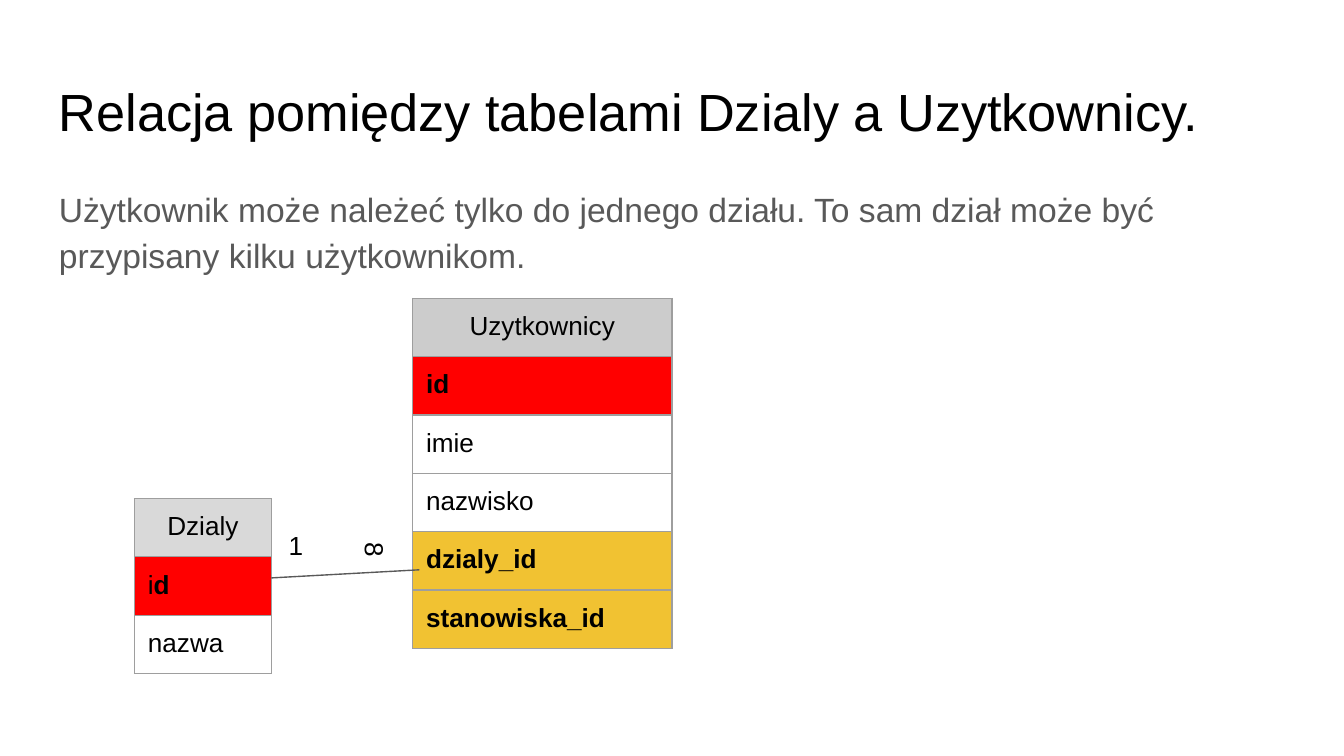
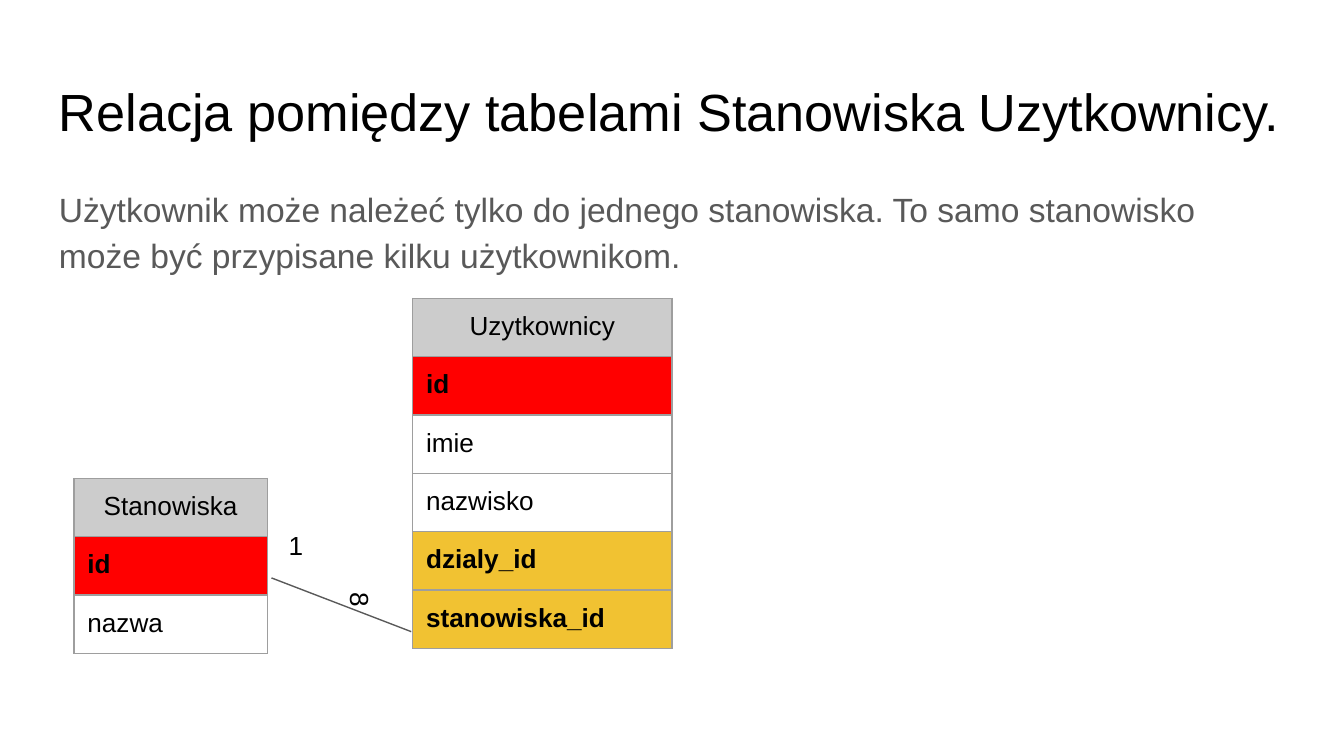
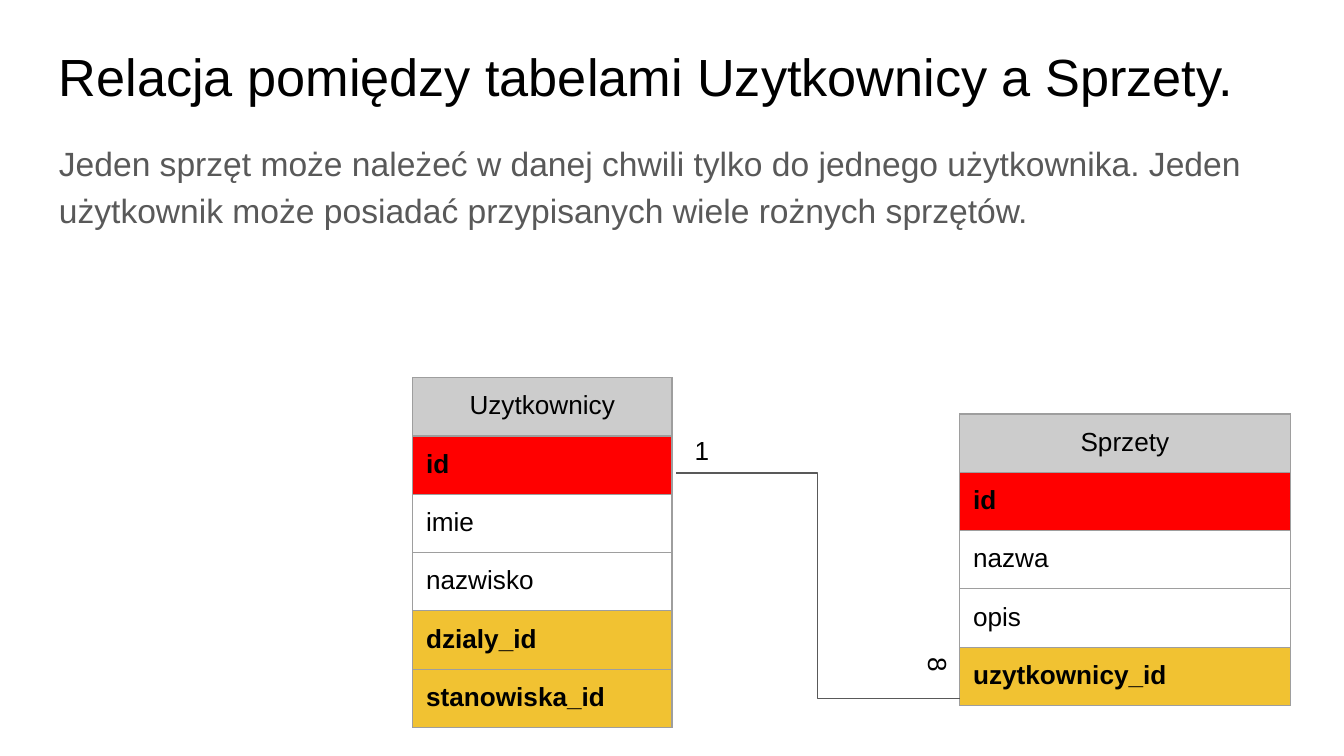
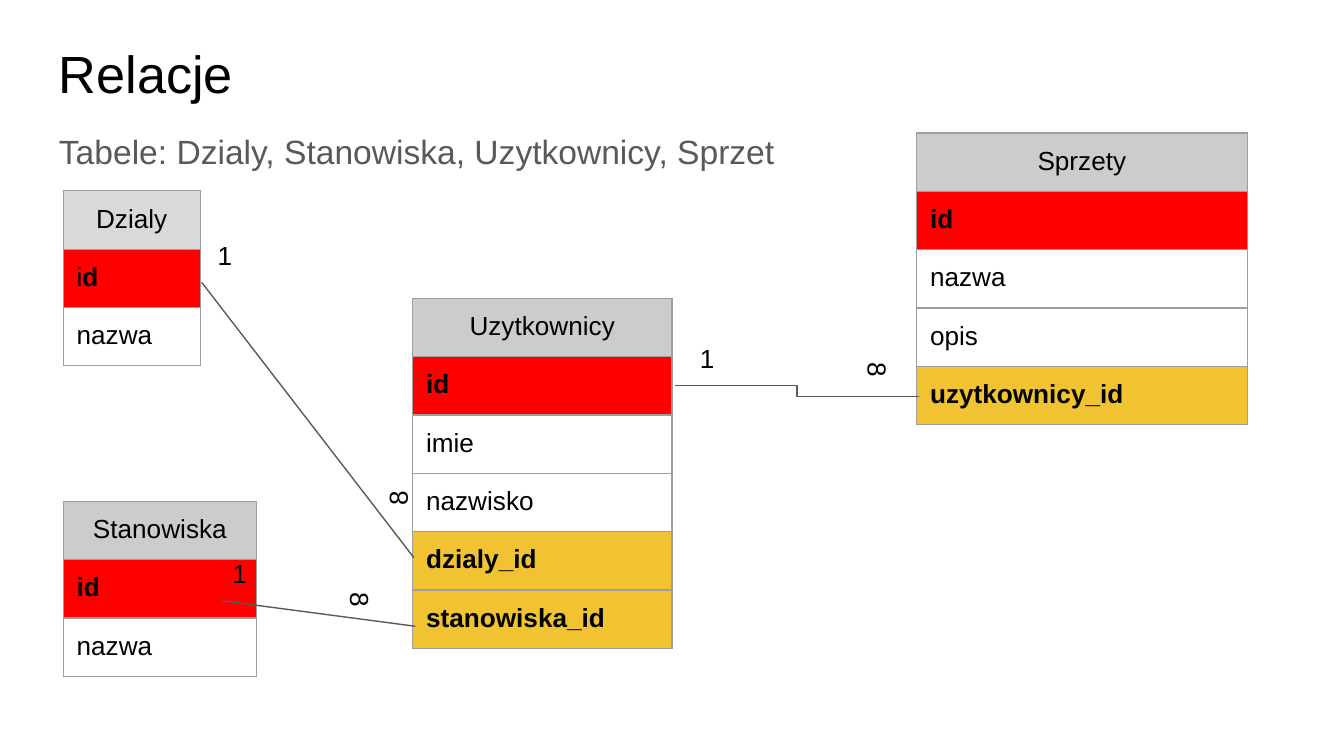
from dataclasses import dataclass

from lxml.etree import SubElement
from pptx import Presentation
from pptx.dml.color import RGBColor
from pptx.enum.shapes import MSO_CONNECTOR
from pptx.enum.text import MSO_ANCHOR, PP_ALIGN
from pptx.oxml.ns import qn
from pptx.util import Inches, Pt


@dataclass(frozen=True)
class Theme:
    font: str = "Arial"
    ink: str = "000000"
    muted: str = "595959"
    border: str = "9E9E9E"
    header: str = "CCCCCC"
    header_light: str = "D9D9D9"
    primary_key: str = "FF0000"
    foreign_key: str = "F1C232"
    title_size: int = 28
    body_size: int = 18
    label_size: int = 14
    line_width: float = 0.75
    margin: float = 0.1
    table_style: str = "{2D5ABB26-0587-4C30-8999-92F81FD0307C}"  # no style, no grid


THEME = Theme()
SLIDE_WIDTH = Inches(10)
SLIDE_HEIGHT = SLIDE_WIDTH * 9 // 16
TEXT_LEFT, TEXT_WIDTH, TITLE_HEIGHT = 0.34, 9.32, 0.63
ROW_HEIGHT = 0.42
ENTITY_FRAME = 3.28
BODY_SPACING = {"line_spacing": 1.15, "space_after": Pt(16)}
MARGINS = {f"margin_{side}": Inches(THEME.margin)
           for side in ("left", "right", "top", "bottom")}

# A field name is a list of (text, bold) runs.
ID = [("id", True)]
ENTITIES = {
    "Dzialy": {"width": 1.02, "header": THEME.header_light,
               "key": [("i", False), ("d", True)],
               "fields": ["nazwa"], "foreign": []},
    "Stanowiska": {"width": 1.44, "header": THEME.header, "key": ID,
                   "fields": ["nazwa"], "foreign": []},
    "Uzytkownicy": {"width": 1.93, "header": THEME.header, "key": ID,
                    "fields": ["imie", "nazwisko"],
                    "foreign": ["dzialy_id", "stanowiska_id"]},
    "Sprzety": {"width": 2.46, "header": THEME.header, "key": ID,
                "fields": ["nazwa", "opis"], "foreign": ["uzytkownicy_id"]},
}

STRAIGHT, ELBOW = MSO_CONNECTOR.STRAIGHT, MSO_CONNECTOR.ELBOW

# entities: name, left, top; labels: text, box, rotation; links: kind, from, to
SLIDES = [
    {
        "title": ("Relacja pomiędzy tabelami Dzialy a Uzytkownicy.", 0.49),
        "body": ("Użytkownik może należeć tylko do jednego działu. "
                 "To sam dział może być przypisany kilku użytkownikom.", 1.26, 3.74),
        "entities": [("Uzytkownicy", 3.07, 2.22), ("Dzialy", 1, 3.71)],
        "labels": [("1", (2.05, 3.84, 0.52, 0.26), 0),
                   ("8", (2.74, 3.95, 0.28, 0.26), 90)],
        "links": [(STRAIGHT, (2.02, 4.3), (3.12, 4.24))],
    },
    {
        "title": ("Relacja pomiędzy tabelami Stanowiska Uzytkownicy.", 0.49),
        "body": ("Użytkownik może należeć tylko do jednego stanowiska. "
                 "To samo stanowisko może być przypisane kilku użytkownikom.", 1.26, 3.74),
        "entities": [("Stanowiska", 0.55, 3.56), ("Uzytkownicy", 3.07, 2.22)],
        "labels": [("1", (2.05, 3.84, 0.52, 0.26), 0),
                   ("8", (2.63, 4.32, 0.28, 0.26), 90)],
        "links": [(STRAIGHT, (2.02, 4.3), (3.06, 4.7))],
    },
    {
        "title": ("Relacja pomiędzy tabelami Uzytkownicy a Sprzety.", 0.23),
        "body": ("Jeden sprzęt może należeć w danej chwili tylko do jednego użytkownika. "
                 "Jeden użytkownik może posiadać przypisanych wiele rożnych sprzętów.",
                 0.92, 4.47),
        "entities": [("Uzytkownicy", 3.07, 2.81), ("Sprzety", 7.14, 3.08)],
        "labels": [("1", (5.07, 3.13, 0.42, 0.26), 0),
                   ("8", (6.86, 4.87, 0.42, 0.26), 90)],
        "links": [(ELBOW, (7.14, 5.2), (5.03, 3.52))],
    },
    {
        "title": ("Relacje", 0.21),
        "body": ("Tabele: Dzialy, Stanowiska, Uzytkownicy, Sprzet", 0.83, 4.39),
        "entities": [("Dzialy", 0.47, 1.42), ("Stanowiska", 0.47, 3.73),
                     ("Uzytkownicy", 3.07, 2.22), ("Sprzety", 6.82, 0.99)],
        "labels": [("1", (1.52, 1.68, 0.65, 0.28), 0),
                   ("1", (1.63, 4.05, 0.52, 0.26), 0),
                   ("8", (2.75, 3.59, 0.26, 0.28), 270),
                   ("8", (2.63, 4.32, 0.28, 0.26), 90),
                   ("1", (5.11, 2.45, 0.42, 0.26), 0),
                   ("8", (6.41, 2.68, 0.42, 0.26), 90)],
        "links": [(ELBOW, (6.84, 2.95), (5.02, 2.87)),
                  (STRAIGHT, (1.5, 2.1), (3.08, 4.15)),
                  (STRAIGHT, (1.65, 4.47), (3.09, 4.66))],
    },
]


def apply(target, values):
    for attribute, value in values.items():
        setattr(target, attribute, value)


def write_runs(paragraph, runs, size, color):
    for text, bold in runs:
        run = paragraph.add_run()
        run.text = text
        apply(run.font, {"name": THEME.font, "size": Pt(size), "bold": bold})
        run.font.color.rgb = RGBColor.from_string(color)


def add_text(slide, text, box, size, color=THEME.ink, rotation=0, spacing=None):
    textbox = slide.shapes.add_textbox(*map(Inches, box))
    textbox.rotation = rotation
    frame = textbox.text_frame
    apply(frame, {"word_wrap": True, "vertical_anchor": MSO_ANCHOR.TOP, **MARGINS})
    paragraph = frame.paragraphs[0]
    apply(paragraph, spacing or {})
    write_runs(paragraph, [(text, False)], size, color)


def add_borders(cell):
    """Draw all four sides; border elements must come before the cell fill."""
    properties = cell._tc.get_or_add_tcPr()
    for position, side in enumerate(("lnL", "lnR", "lnT", "lnB")):
        border = SubElement(properties, qn(f"a:{side}"), w=str(Pt(THEME.line_width)))
        fill = SubElement(border, qn("a:solidFill"))
        SubElement(fill, qn("a:srgbClr"), val=THEME.border)
        properties.insert(position, border)


def entity_rows(name):
    """Return (runs, fill, alignment) for each row of an entity."""
    entity = ENTITIES[name]
    return [
        ([(name, False)], entity["header"], PP_ALIGN.CENTER),
        (entity["key"], THEME.primary_key, PP_ALIGN.LEFT),
        *[([(field, False)], None, PP_ALIGN.LEFT) for field in entity["fields"]],
        *[([(field, True)], THEME.foreign_key, PP_ALIGN.LEFT)
          for field in entity["foreign"]],
    ]


def add_entity(slide, name, left, top):
    rows = entity_rows(name)
    box = (left, top, ENTITY_FRAME, ENTITY_FRAME)
    frame = slide.shapes.add_table(len(rows), 1, *map(Inches, box))
    table = frame.table
    apply(table, {"first_row": False, "horz_banding": False})
    table._tbl.tblPr.find(qn("a:tableStyleId")).text = THEME.table_style
    table.columns[0].width = Inches(ENTITIES[name]["width"])
    for index, (runs, fill, alignment) in enumerate(rows):
        table.rows[index].height = Inches(ROW_HEIGHT)
        cell = table.cell(index, 0)
        apply(cell, MARGINS)
        if fill:
            cell.fill.solid()
            cell.fill.fore_color.rgb = RGBColor.from_string(fill)
        else:
            cell.fill.background()
        add_borders(cell)
        paragraph = cell.text_frame.paragraphs[0]
        paragraph.alignment = alignment
        write_runs(paragraph, runs, THEME.label_size, THEME.ink)
    # Row and column sizes reset the frame, so its size comes last.
    apply(frame, {"width": Inches(ENTITY_FRAME), "height": Inches(ENTITY_FRAME)})


def add_link(slide, kind, start, end):
    link = slide.shapes.add_connector(kind, *map(Inches, start + end))
    link.line.color.rgb = RGBColor.from_string(THEME.muted)
    link.line.width = Pt(THEME.line_width)
    SubElement(link._element.spPr, qn("a:effectLst"))


def build_slide(presentation, content):
    slide = presentation.slides.add_slide(presentation.slide_layouts[6])
    title, title_top = content["title"]
    add_text(slide, title, (TEXT_LEFT, title_top, TEXT_WIDTH, TITLE_HEIGHT),
             THEME.title_size)
    body, body_top, body_height = content["body"]
    add_text(slide, body, (TEXT_LEFT, body_top, TEXT_WIDTH, body_height),
             THEME.body_size, THEME.muted, spacing=BODY_SPACING)
    for entity in content["entities"]:
        add_entity(slide, *entity)
    for text, box, rotation in content["labels"]:
        add_text(slide, text, box, THEME.label_size, rotation=rotation)
    for link in content["links"]:
        add_link(slide, *link)


def main():
    presentation = Presentation()
    apply(presentation, {"slide_width": SLIDE_WIDTH, "slide_height": SLIDE_HEIGHT})
    for content in SLIDES:
        build_slide(presentation, content)
    presentation.save("out.pptx")


if __name__ == "__main__":
    main()
